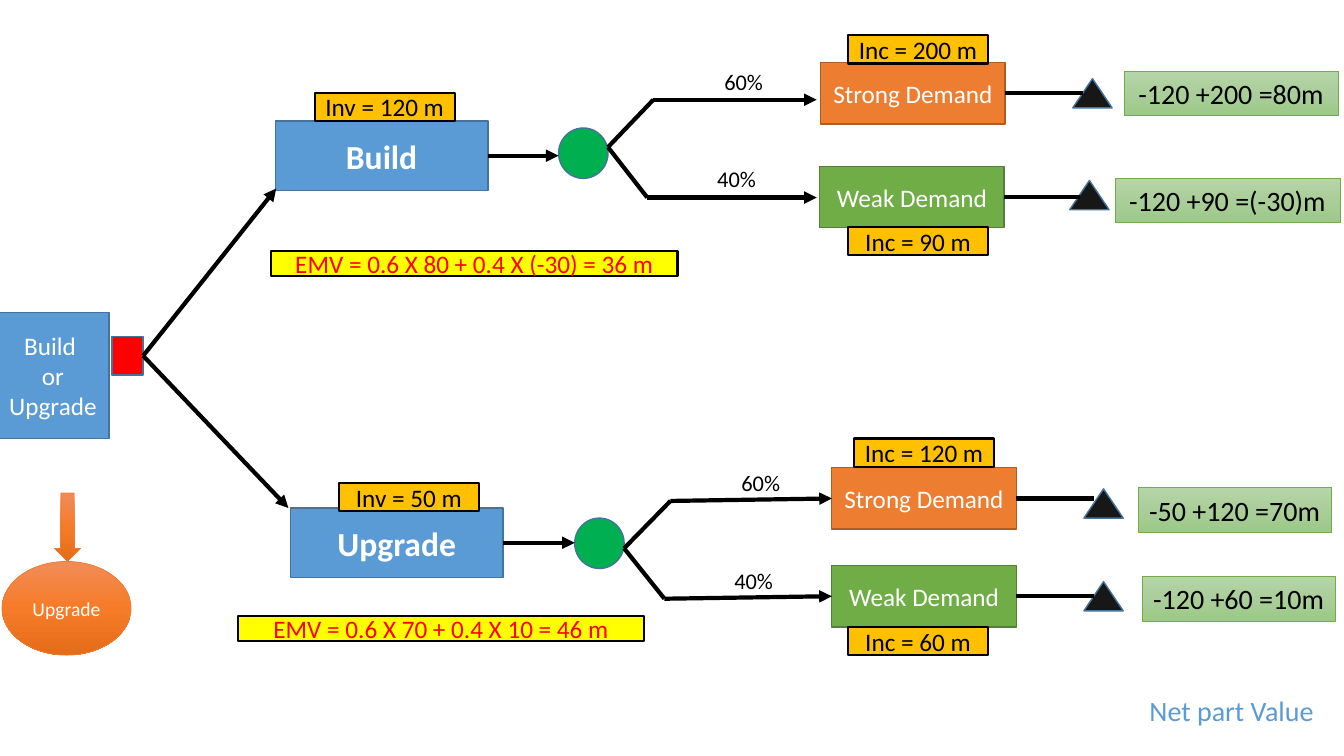
from copy import deepcopy

from pptx import Presentation
from pptx.dml.color import RGBColor
from pptx.enum import shapes, text
from pptx.oxml.ns import qn
from pptx.util import Inches, Pt

BLUE = RGBColor(0x5B, 0x9B, 0xD5)
BLUE_EDGE = RGBColor(0x43, 0x73, 0x9E)
ORANGE = RGBColor(0xED, 0x7D, 0x31)
ORANGE_EDGE = RGBColor(0xAF, 0x5C, 0x24)
GREEN = RGBColor(0x70, 0xAD, 0x47)
GREEN_EDGE = RGBColor(0x53, 0x80, 0x35)
EVENT_GREEN = RGBColor(0x00, 0xB0, 0x50)
AMBER = RGBColor(0xFF, 0xC0, 0x00)
YELLOW = RGBColor(0xFF, 0xFF, 0x00)
RED = RGBColor(0xFF, 0x00, 0x00)
CHARCOAL = RGBColor(0x18, 0x17, 0x17)
BLACK = RGBColor(0x00, 0x00, 0x00)
WHITE = RGBColor(0xFF, 0xFF, 0xFF)
GREEN_SHADES = [RGBColor(0xB5, 0xD5, 0xA7), RGBColor(0xAA, 0xCE, 0x9A), RGBColor(0x9C, 0xC9, 0x87)]
ORANGE_SHADES = [RGBColor(0xF1, 0x8C, 0x57), RGBColor(0xF6, 0x7B, 0x28), RGBColor(0xE5, 0x6C, 0x19)]

KIND = shapes.MSO_SHAPE
TOP, LEFT, BOTTOM, RIGHT = range(4)

# Investment tag, branch box, EMV bar, event circle, and the branch bends (x, y)
OPTIONS = [
    dict(name="Build", box=(2.73, 1.2), tag="Inv = 120 m", tag_at=(3.12, 0.92),
         emv="EMV = 0.6 X 80 + 0.4 X (-30) = 36 m", emv_at=(2.69, 2.49), event=(5.54, 1.27),
         fork=(6.03, 1.46), arrow_end=(2.74, 1.87)),
    dict(name="Upgrade", box=(2.88, 5.04), tag="Inv = 50 m", tag_at=(3.36, 4.79),
         emv="EMV = 0.6 X 70 + 0.4 X 10 = 46 m", emv_at=(2.36, 6.11), event=(5.7, 5.14),
         fork=(6.19, 5.44), arrow_end=(2.86, 5.04)),
]

# Fork, bend, arrow end, chance and its place, box, income tag, end triangle, net value
OUTCOMES = [
    ((6.03, 1.46), (6.48, 0.99), 8.1, "60%", (7.08, 0.62), "Strong Demand", (8.14, 0.62),
     "Inc = 200 m", (8.41, 0.35), (10.64, 0.78), "-120 +200 =80m", (11.15, 0.71, 2.12)),
    ((6.03, 1.46), (6.42, 1.96), 8.1, "40%", (7.01, 1.59), "Weak Demand", (8.13, 1.65),
     "Inc = 90 m", (8.41, 2.25), (10.61, 1.79), "-120 +90 =(-30)m", (11.06, 1.77, 2.23)),
    ((6.19, 5.44), (6.65, 4.97), None, "60%", (7.25, 4.6), "Strong Demand", (8.25, 4.64),
     "Inc = 120 m", (8.47, 4.35), (10.75, 4.85), "-50 +120 =70m", (11.29, 4.84, 1.91)),
    ((6.19, 5.44), (6.59, 5.94), None, "40%", (7.18, 5.57), "Weak Demand", (8.25, 5.61),
     "Inc = 60 m", (8.41, 6.22), (10.75, 5.77), "-120 +60 =10m", (11.33, 5.72, 1.91)),
]


def write(shape, wording, size, color, bold=False, wrap=True):
    frame = shape.text_frame
    frame.text = wording
    frame.word_wrap = wrap
    frame.vertical_anchor = text.MSO_ANCHOR.MIDDLE
    for para in frame.paragraphs:
        para.alignment = text.PP_ALIGN.CENTER
        for span in para.runs:
            span.font.name = "Calibri"
            span.font.size = Pt(size)
            span.font.bold = bold
            span.font.color.rgb = color


def add_label(page, wording, at, size, color):
    label = page.shapes.add_textbox(*map(Inches, at))
    write(label, wording, size, color, wrap=False)


def add_figure(page, kind, at, fill, edge, weight=1):
    """Add a preset shape; a list of three colours gives a downward gradient."""
    figure = page.shapes.add_shape(kind, *map(Inches, at))
    figure.shadow.inherit = False
    if isinstance(fill, list):
        figure.fill.gradient()
        figure.fill.gradient_angle = 270
        stops = figure._element.find(".//" + qn("a:gsLst"))
        stops.insert(1, deepcopy(stops[0]))
        for stop, color, position in zip(figure.fill.gradient_stops, fill, (0, 0.5, 1)):
            stop.color.rgb = color
            stop.position = position
    else:
        figure.fill.solid()
        figure.fill.fore_color.rgb = fill
    figure.line.color.rgb = edge
    figure.line.width = Pt(weight)
    return figure


def add_tag(page, wording, at, size=(1.39, 0.28), fill=AMBER, color=BLACK):
    tag = add_figure(page, KIND.RECTANGLE, at + size, fill, BLACK, 1.5)
    write(tag, wording, 18, color)


def add_line(page, start, end, arrow=False, begin_box=None, end_box=None):
    """Add a thick line, joined to the right of begin_box and the left of end_box."""
    line = page.shapes.add_connector(shapes.MSO_CONNECTOR.STRAIGHT, *map(Inches, start + end))
    line.line.color.rgb = BLACK
    line.line.width = Pt(3)
    if arrow:
        stroke = line.line._get_or_add_ln()
        stroke.append(stroke.makeelement(qn("a:tailEnd"), {"type": "triangle"}))
    properties = line._element.spPr
    properties.append(properties.makeelement(qn("a:effectLst"), {}))
    if begin_box is not None:
        line.begin_connect(begin_box, RIGHT)
    if end_box is not None:
        line.end_connect(end_box, LEFT)


def add_option(page, decision, option):
    left, top = option["box"]
    middle = top + 0.345
    box = add_figure(page, KIND.RECTANGLE, (left, top, 2.11, 0.69), BLUE, BLUE_EDGE)
    write(box, option["name"], 24, WHITE, bold=True)
    add_tag(page, option["tag"], option["tag_at"])
    add_tag(page, option["emv"], option["emv_at"], (4.03, 0.25), YELLOW, RED)
    add_line(page, (1.42, 3.53), option["arrow_end"], arrow=True, begin_box=decision)
    add_figure(page, KIND.OVAL, option["event"] + (0.49, 0.5), EVENT_GREEN, BLUE_EDGE)
    add_line(page, (left + 2.11, middle), (option["event"][0], middle), arrow=True, begin_box=box)


def add_outcome(page, fork, bend, arrow_end, chance, chance_at, name, box_at,
                income, income_at, triangle_at, value, value_at):
    left, top = box_at
    middle = top + 0.305
    fill, edge = (ORANGE, ORANGE_EDGE) if name.startswith("Strong") else (GREEN, GREEN_EDGE)
    box = add_figure(page, KIND.RECTANGLE, (left, top, 1.83, 0.61), fill, edge)
    write(box, name, 18, WHITE)
    add_tag(page, income, income_at)

    # Branch from the event to the outcome
    add_line(page, fork, bend)
    if arrow_end is None:
        add_line(page, bend, (left, middle), arrow=True, end_box=box)
    else:
        add_line(page, bend, (arrow_end, bend[1]), arrow=True)
    add_label(page, chance, chance_at + (0.59, 0.37), 16, BLACK)

    # End point and net value
    add_figure(page, KIND.ISOSCELES_TRIANGLE, triangle_at + (0.39, 0.29), CHARCOAL, BLUE_EDGE)
    add_line(page, (left + 1.83, middle), (triangle_at[0] + 0.1, middle), begin_box=box)
    result = add_figure(page, KIND.RECTANGLE, value_at + (0.44,), GREEN_SHADES, GREEN, 0.5)
    write(result, value, 20, BLACK, wrap=False)


def main():
    deck = Presentation()
    deck.slide_width, deck.slide_height = Inches(13.33), Inches(7.5)
    page = deck.slides.add_slide(deck.slide_layouts[6])

    # Decision
    question = add_figure(page, KIND.RECTANGLE, (-0.03, 3.1, 1.11, 1.25), BLUE, BLUE_EDGE)
    write(question, "Build \nor\nUpgrade", 18, WHITE)
    decision = add_figure(page, KIND.RECTANGLE, (1.11, 3.34, 0.31, 0.38), RED, BLUE_EDGE)

    # Tree
    for option in OPTIONS:
        add_option(page, decision, option)
    for outcome in OUTCOMES:
        add_outcome(page, *outcome)

    # Conclusion
    choice = add_figure(page, KIND.OVAL, (0.02, 5.57, 1.28, 0.93), ORANGE_SHADES, ORANGE, 0.5)
    write(choice, "Upgrade", 14, WHITE)
    add_figure(page, KIND.DOWN_ARROW, (0.54, 4.89, 0.26, 0.68), ORANGE_SHADES, ORANGE, 0.5)
    add_label(page, "Net part Value", (11.29, 6.83, 1.85, 0.44), 20, BLUE)

    deck.save("out.pptx")


if __name__ == "__main__":
    main()
